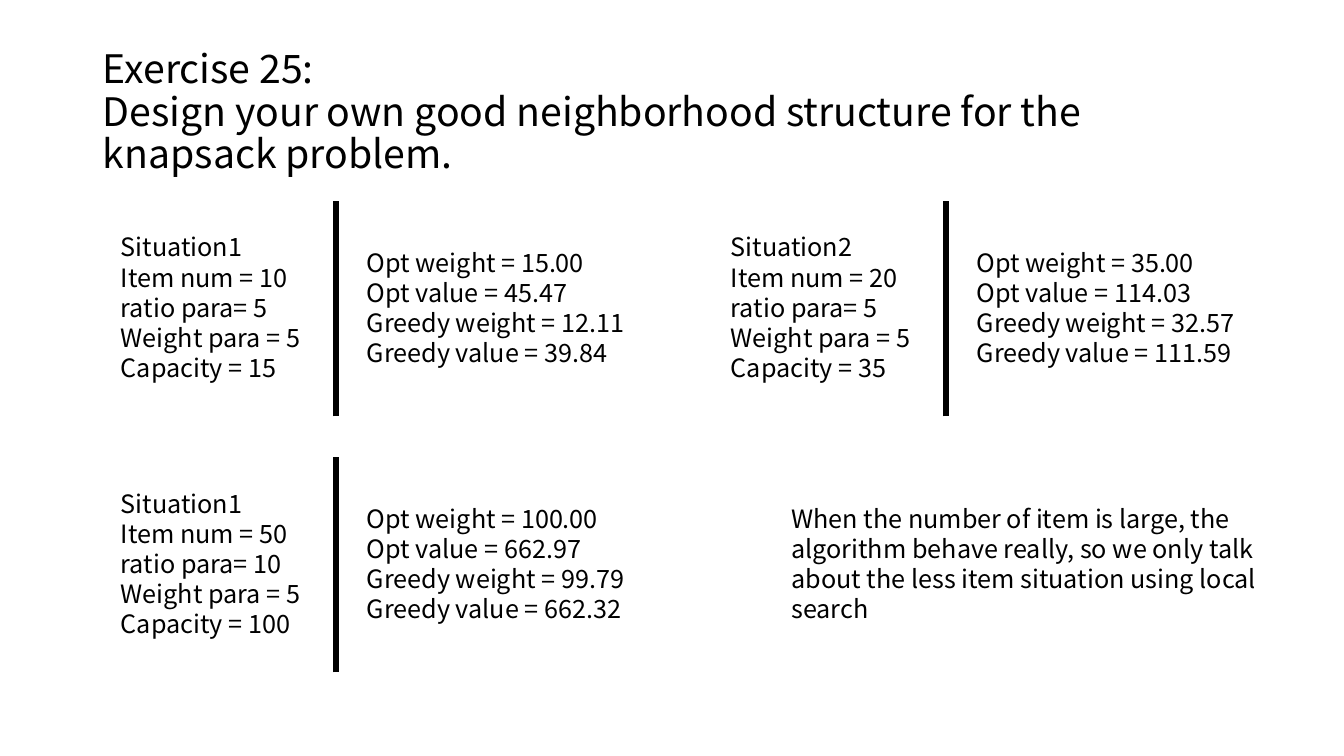
from pptx import Presentation
from pptx.dml.color import RGBColor
from pptx.enum.shapes import MSO_CONNECTOR
from pptx.enum.text import MSO_ANCHOR, MSO_AUTO_SIZE, PP_ALIGN
from pptx.oxml.ns import qn
from pptx.util import Inches, Pt
from lxml import etree

STRAIGHT = MSO_CONNECTOR.STRAIGHT
MIDDLE = MSO_ANCHOR.MIDDLE
NO_FIT, GROW = MSO_AUTO_SIZE.NONE, MSO_AUTO_SIZE.SHAPE_TO_FIT_TEXT
LEFT = PP_ALIGN.LEFT
FONT = "Noto Sans CJK SC"
BLACK = "000000"


def style(tf, size, color=BLACK):
    for p in tf.paragraphs:
        p.alignment = LEFT
        for r in p.runs:
            r.font.name = FONT
            r.font.size = Pt(size)
            r.font.color.rgb = RGBColor.from_string(color)


def add_text(shapes, x, y, w, h, text):
    tf = shapes.add_textbox(Inches(x), Inches(y), Inches(w), Inches(h)).text_frame
    tf.word_wrap = True
    tf.auto_size = GROW
    tf.text = text
    style(tf, 18)


prs = Presentation()
prs.slide_width, prs.slide_height = Inches(13.33), Inches(7.5)
s = prs.slides.add_slide(prs.slide_layouts[5])

title = s.shapes.title
title.left, title.top = Inches(0.92), Inches(0.4)
title.width, title.height = Inches(11.5), Inches(1.45)
tf = title.text_frame
tf.text = ("Exercise 25:\vDesign your own good neighborhood structure for the"
           "\vknapsack problem.")
tf.vertical_anchor = MIDDLE
tf.auto_size = NO_FIT
tf.paragraphs[0].line_spacing = 0.9
style(tf, 28)

situations = [
    (1.1, 1.99, "Situation1", (10, 5, 5, 15), ("15.00", "45.47", "12.11", "39.84")),
    (7.15, 1.99, "Situation2", (20, 5, 5, 35), ("35.00", "114.03", "32.57", "111.59")),
    (1.1, 4.53, "Situation1", (50, 10, 5, 100), ("100.00", "662.97", "99.79", "662.32")),
]
settings = ("Item num = ", "ratio para= ", "Weight para = ", "Capacity = ")
results = ("Opt weight = ", "Opt value = ", "Greedy weight = ", "Greedy value = ")

for x, y, name, inputs, outputs in situations:
    group = s.shapes.add_group_shape().shapes
    divider = group.add_connector(STRAIGHT, Inches(x + 2.23), Inches(y + 2.14),
                                  Inches(x + 2.23), Inches(y))
    divider.line.color.rgb = RGBColor.from_string(BLACK)
    divider.line.width = Pt(4.5)
    etree.SubElement(divider._element.spPr, qn("a:effectLst"))
    input_lines = [name] + [f"{label}{value}" for label, value in zip(settings, inputs)]
    output_lines = [f"{label}{value}" for label, value in zip(results, outputs)]
    add_text(group, x, y + 0.26, 2.44, 1.62, "\n".join(input_lines))
    add_text(group, x + 2.44, y + 0.41, 3.37, 1.31, "\n".join(output_lines))

add_text(s.shapes, 7.75, 4.94, 5.11, 1.31,
         "When the number of item is large, the algorithm behave really, "
         "so we only talk about the less item situation using local search")

prs.save("out.pptx")
